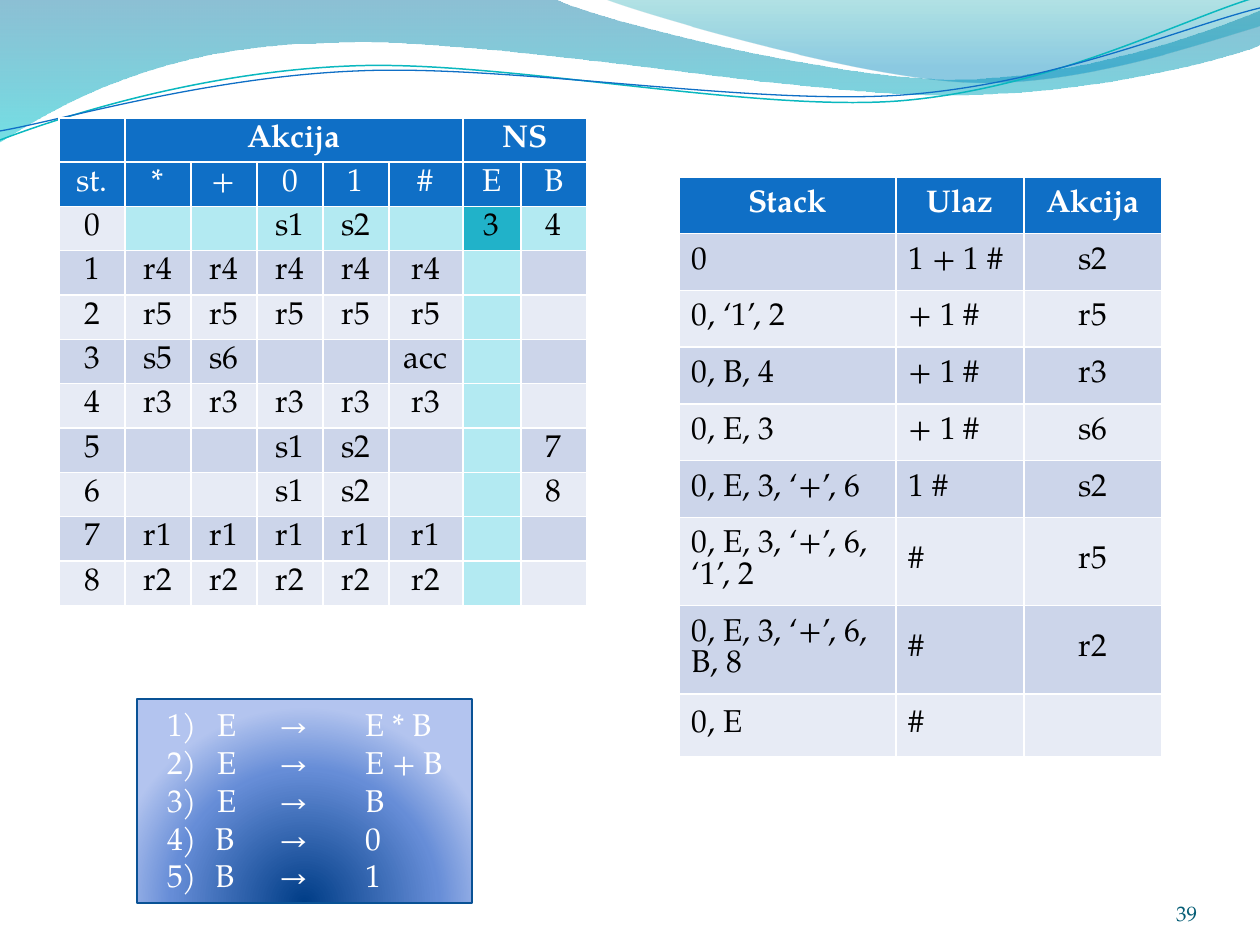
import dataclasses

import lxml.etree
import pptx
import pptx.dml.color
import pptx.enum.shapes
import pptx.enum.text
import pptx.oxml
import pptx.oxml.ns
import pptx.util

EMU_PER_PX = 914400 / 126
ALIGN = pptx.enum.text.PP_ALIGN
ANCHOR = pptx.enum.text.MSO_ANCHOR
qn = pptx.oxml.ns.qn


@dataclasses.dataclass(frozen=True)
class Theme:
    font: str = "TeX Gyre Pagella"
    body: int = 18
    small: int = 12
    white: str = "FFFFFF"
    text: str = "000000"
    header: str = "0F6FC6"
    bands: tuple = ("E7EBF5", "CCD5EA")
    trace: str = "B3EAF2"
    focus: str = "21B2C9"
    number: str = "045D75"
    teal_line: str = "0AB8BF"
    box_line: str = "095295"
    left_wave: tuple = ((0, "0074A1", 45), (100, "00C6CF", 55))
    right_wave: tuple = ((0, "00A1A9", 30), (80, "008BBF", 45))
    box_glow: tuple = ((0, "003D87", 100), (68, "668DD7", 100), (100, "B3C4EF", 100))
    tight_padding: float = 0.05
    roomy_padding: float = 0.1


THEME = Theme()

# Curves: a start point, then segments of one (line) or three (Bézier) points
LEFT_WAVE = [(-1, 0), [(554, -1)], [(600, 21), (837, 79), (955, 79)],
             [(1074, 79), (1207, 33), (1260, 11)], [(1261, 45)],
             [(1239, 55), (1096, 96), (940, 95)], [(784, 94), (481, 35), (324, 43)],
             [(163, 45), (58, 105), (-1, 142)]]
RIGHT_WAVE = [(604, -1), [(641, 14), (859, 78), (969, 82)],
              [(1079, 87), (1211, 40), (1260, 26)], [(1260, 0)]]
TEAL_CURVE = [(0, 140), [(60, 117), (199, 72), (349, 66)],
              [(498, 59), (747, 112), (898, 101)], [(1050, 89), (1182, 19), (1257, -3)]]
BLUE_CURVE = [(0, 131), [(59, 121), (207, 77), (357, 71)],
              [(508, 64), (752, 106), (903, 95)], [(1053, 84), (1186, 26), (1260, 8)]]

# LR parsing table and the trace of one input
PARSING_ROWS = [row.split("|") for row in (
    "|Akcija|||||NS|",
    "st.|*|+|0|1|#|E|B",
    "0|||s1|s2||3|4",
    "1|r4|r4|r4|r4|r4||",
    "2|r5|r5|r5|r5|r5||",
    "3|s5|s6|||acc||",
    "4|r3|r3|r3|r3|r3||",
    "5|||s1|s2|||7",
    "6|||s1|s2|||8",
    "7|r1|r1|r1|r1|r1||",
    "8|r2|r2|r2|r2|r2||",
)]
TRACE_ROWS = [
    ("Stack", "Ulaz", "Akcija"),
    ("0", "1 + 1 #", "s2"),
    ("0, ‘1’, 2", "+ 1 #", "r5"),
    ("0, B, 4", "+ 1 #", "r3"),
    ("0, E, 3", "+ 1 #", "s6"),
    ("0, E, 3, ‘+’, 6", "1 #", "s2"),
    ("0, E, 3, ‘+’, 6, ‘1’, 2", "#", "r5"),
    ("0, E, 3, ‘+’, 6, B, 8", "#", "r2"),
    ("0, E", "#", ""),
]


def px(length):
    return pptx.util.Emu(round(length * EMU_PER_PX))


def rgb(value):
    return pptx.dml.color.RGBColor.from_string(value)


def add_xml(parent, tag, **attributes):
    return lxml.etree.SubElement(
        parent, qn(tag), {key: str(value) for key, value in attributes.items()})


def style_text(paragraph, color, size=THEME.body, bold=False, align=ALIGN.LEFT):
    paragraph.alignment = align
    font = paragraph.font
    font.name, font.size, font.bold = THEME.font, pptx.util.Pt(size), bold
    font.color.rgb = rgb(color)


def set_line(shape, color, width):
    shape.line.color.rgb = rgb(color)
    shape.line.width = pptx.util.Pt(width)


def set_gradient(shape, stops, radial=False):
    shape.fill.background()
    properties = shape._element.spPr
    gradient = pptx.oxml.parse_xml(
        f'<a:gradFill {pptx.oxml.ns.nsdecls("a")} rotWithShape="1"/>')
    properties.replace(properties.find(qn("a:noFill")), gradient)
    stop_list = add_xml(gradient, "a:gsLst")
    for position, color, opacity in stops:
        stop = add_xml(stop_list, "a:gs", pos=position * 1000)
        add_xml(add_xml(stop, "a:srgbClr", val=color), "a:alpha", val=opacity * 1000)
    if radial:
        circle = add_xml(gradient, "a:path", path="circle")
        add_xml(circle, "a:fillToRect", l=50000, t=130000, r=50000, b=-30000)
    else:
        add_xml(gradient, "a:lin", ang=5400000, scaled=0)


def add_curve(slide, curve, closed):
    (start_x, start_y), *segments = curve
    builder = slide.shapes.build_freeform(px(start_x), px(start_y))
    builder.add_line_segments([(px(x), px(y)) for *_, (x, y) in segments], close=closed)
    shape = builder.convert_to_shape()
    shape.shadow.inherit = False
    # Bend each three-point segment into a Bézier
    straight_parts = list(shape._element.spPr.iter(qn("a:lnTo")))
    for part, segment in zip(straight_parts, segments):
        if len(segment) == 3:
            bend = pptx.oxml.parse_xml(f'<a:cubicBezTo {pptx.oxml.ns.nsdecls("a")}/>')
            for x, y in segment:
                add_xml(bend, "a:pt", x=px(x) - shape.left, y=px(y) - shape.top)
            part.getparent().replace(part, bend)
    return shape


def add_wave(slide, curve, stops):
    wave = add_curve(slide, curve, closed=True)
    set_gradient(wave, stops)
    wave.line.fill.background()


def add_thread(slide, curve, color, width):
    thread = add_curve(slide, curve, closed=False)
    thread.fill.background()
    set_line(thread, color, width)


def add_grid(slide, left, top, widths, row_height, padding, rows, header_rows,
             fill_of, align_of):
    grid = slide.shapes.add_table(len(rows), len(widths), px(left), px(top),
                                  px(sum(widths)), px(row_height * len(rows))).table
    for column, width in zip(grid.columns, widths):
        column.width = px(width)
    for r, row in enumerate(rows):
        grid.rows[r].height = px(row_height)
        for c, text in enumerate(row):
            cell = grid.cell(r, c)
            cell.fill.solid()
            cell.fill.fore_color.rgb = rgb(THEME.header if r < header_rows else fill_of(r, c))
            cell.vertical_anchor = ANCHOR.MIDDLE
            cell.margin_top = cell.margin_bottom = pptx.util.Inches(padding)
            cell.text = text
            entry = cell.text_frame.paragraphs[0]
            entry.line_spacing = pptx.util.Pt(THEME.body)
            style_text(entry, THEME.white if r < header_rows else THEME.text,
                       bold=r == 0, align=align_of(r, c))
    return grid


def parsing_fill(r, c):
    if (r, c) == (2, 6):
        return THEME.focus
    return THEME.trace if c == 6 or (r == 2 and c > 0) else THEME.bands[r % 2]


def add_grammar(slide):
    box = slide.shapes.add_shape(pptx.enum.shapes.MSO_SHAPE.RECTANGLE,
                                 px(137), px(699), px(335), px(204))
    set_gradient(box, THEME.box_glow, radial=True)
    set_line(box, THEME.box_line, 0.75)
    box.shadow.inherit = False
    frame = box.text_frame
    frame.word_wrap = True
    frame.margin_left = px(30)
    frame.vertical_anchor = ANCHOR.TOP
    rules = ("1) \tE\t→\tE * B\v2) \tE\t→ \tE + B\v3) \tE\t→ \tB", "B\t→\t0", "B\t→\t1")
    for index, rule in enumerate(rules):
        production = frame.paragraphs[0] if index == 0 else frame.add_paragraph()
        production.text = rule
        properties = production._p.get_or_add_pPr()
        if index:
            properties.set("marL", str(px(48)))
            properties.set("indent", str(px(-48)))
            add_xml(properties, "a:buFont", typeface="+mj-lt")
            add_xml(properties, "a:buAutoNum", type="arabicParenR", startAt=4)
        tabs = add_xml(properties, "a:tabLst")
        for stop in (50, 112, 198):
            add_xml(tabs, "a:tab", pos=px(stop), algn="l")
        style_text(production, THEME.white)


def add_page_number(slide):
    frame = slide.shapes.add_textbox(px(1092), px(876), px(105), px(50)).text_frame
    frame.word_wrap = True
    frame.margin_left = frame.margin_right = frame.margin_top = frame.margin_bottom = 0
    frame.vertical_anchor = ANCHOR.BOTTOM
    frame.text = "39"
    style_text(frame.paragraphs[0], THEME.number, THEME.small, align=ALIGN.RIGHT)


def main():
    deck = pptx.Presentation()
    deck.slide_width, deck.slide_height = px(1260), px(945)
    slide = deck.slides.add_slide(deck.slide_layouts[6])

    # Waves along the top
    add_wave(slide, LEFT_WAVE, THEME.left_wave)
    add_wave(slide, RIGHT_WAVE, THEME.right_wave)
    add_thread(slide, TEAL_CURVE, THEME.teal_line, 0.85)
    add_thread(slide, BLUE_CURVE, THEME.header, 0.75)

    # Parsing table with two header groups
    parsing = add_grid(slide, 59, 118, [66, 66, 66, 66, 66, 74, 58, 66], 37,
                       THEME.tight_padding, PARSING_ROWS, 2, parsing_fill,
                       lambda r, c: ALIGN.CENTER)
    for first, last in ((1, 5), (6, 7)):
        parsing.cell(0, first).merge(parsing.cell(0, last))

    add_page_number(slide)
    add_grammar(slide)

    # Trace of the stack, input and action
    add_grid(slide, 679, 177, [217, 128, 138], 56, THEME.roomy_padding, TRACE_ROWS, 1,
             lambda r, c: THEME.bands[r % 2],
             lambda r, c: ALIGN.CENTER if r == 0 or c == 2 else ALIGN.LEFT)

    deck.save("out.pptx")


if __name__ == "__main__":
    main()
